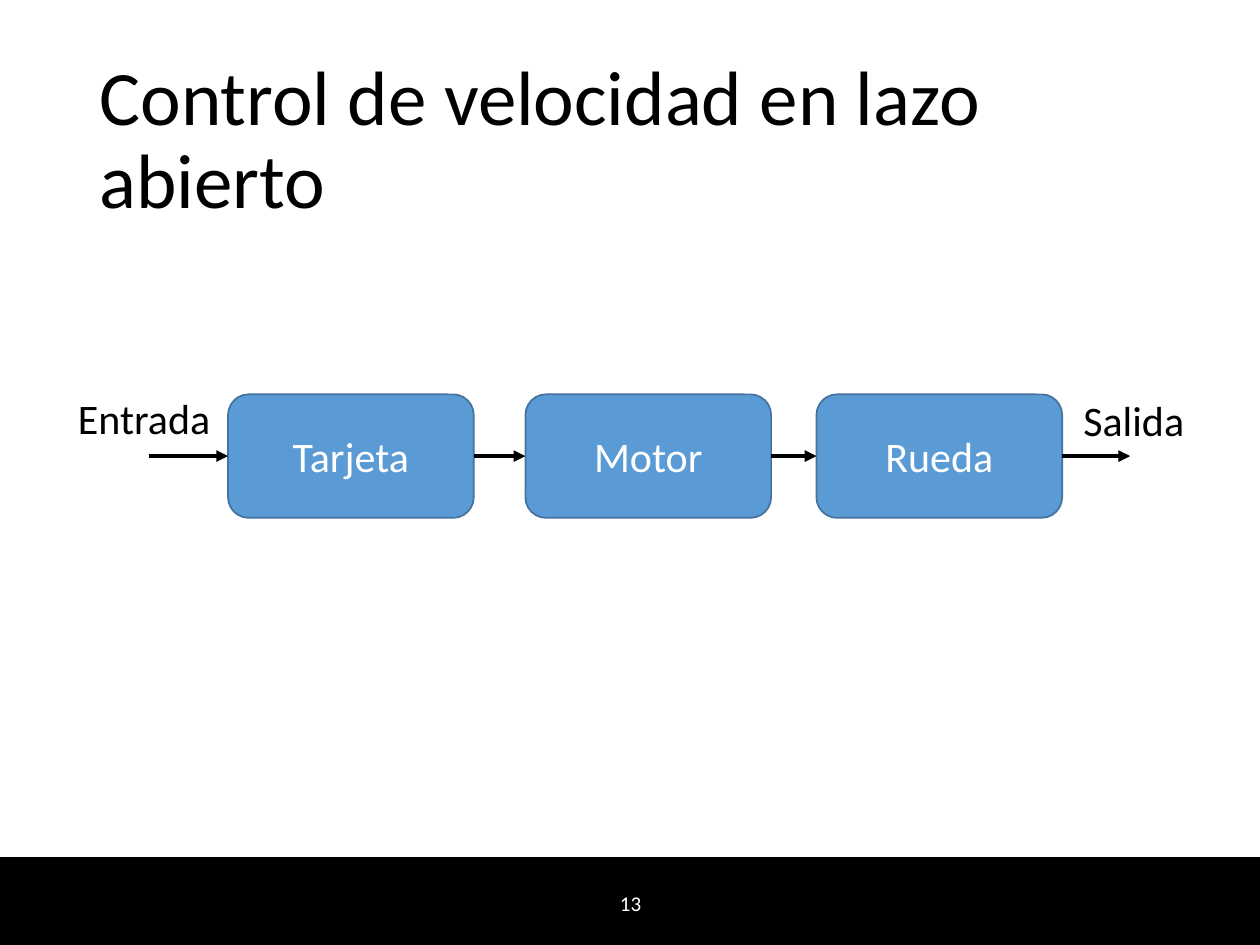
from itertools import pairwise

from lxml.etree import SubElement
from pptx import Presentation
from pptx.dml.color import RGBColor
from pptx.enum.shapes import MSO_CONNECTOR as CONN, MSO_SHAPE as SHAPE
from pptx.enum.text import MSO_ANCHOR as ANCHOR, PP_ALIGN as ALIGN
from pptx.oxml.ns import qn
from pptx.util import Inches, Pt

BLACK = RGBColor(0x00, 0x00, 0x00)
WHITE = RGBColor(0xFF, 0xFF, 0xFF)
BLUE = RGBColor(0x5B, 0x9B, 0xD5)
DARK_BLUE = RGBColor(0x43, 0x73, 0x9E)

BLOCK_TOP, BLOCK_W, BLOCK_H = 3.13, 1.95, 0.98
BLOCKS = [("Tarjeta", 1.81), ("Motor", 4.17), ("Rueda", 6.48)]
INPUT_X, OUTPUT_X = 1.18, 8.97


class DiagramSlide:
    font = "Calibri"

    def __init__(self, prs):
        self.s = prs.slides.add_slide(prs.slide_layouts[5])

    def set_text(self, shape, text, size, color, align=ALIGN.LEFT, anchor=ANCHOR.MIDDLE, spacing=1.0):
        tf = shape.text_frame
        tf.word_wrap = True
        tf.vertical_anchor = anchor
        p = tf.paragraphs[0]
        p.alignment = align
        p.line_spacing = spacing
        r = p.add_run()
        r.text = text
        for name, value in {"name": self.font, "size": Pt(size)}.items():
            setattr(r.font, name, value)
        r.font.color.rgb = color

    def title(self, text, x, y, w, h):
        sp = self.s.shapes.title
        box = {"left": x, "top": y, "width": w, "height": h}
        for name, value in box.items():
            setattr(sp, name, Inches(value))
        self.set_text(sp, text, 44, BLACK, spacing=0.9)

    def shape(self, kind, x, y, w, h, fill, line):
        sp = self.s.shapes.add_shape(kind, Inches(x), Inches(y), Inches(w), Inches(h))
        sp.shadow.inherit = False
        sp.fill.solid()
        sp.fill.fore_color.rgb = fill
        sp.line.color.rgb = line
        sp.line.width = Pt(1)
        return sp

    def block(self, text, x):
        sp = self.shape(SHAPE.ROUNDED_RECTANGLE, x, BLOCK_TOP, BLOCK_W, BLOCK_H, BLUE, DARK_BLUE)
        self.set_text(sp, text, 24, WHITE, ALIGN.CENTER)

    def text(self, text, x, y, w, h, size, color, **layout):
        sp = self.s.shapes.add_textbox(Inches(x), Inches(y), Inches(w), Inches(h))
        self.set_text(sp, text, size, color, **layout)

    def arrow(self, x1, x2, y):
        c = self.s.shapes.add_connector(CONN.STRAIGHT, Inches(x1), Inches(y), Inches(x2), Inches(y))
        c.line.color.rgb = BLACK
        c.line.width = Pt(2.25)
        sp_pr = c._element.spPr
        SubElement(sp_pr.find(qn("a:ln")), qn("a:tailEnd"), type="triangle")
        SubElement(sp_pr, qn("a:effectLst"))


def main():
    prs = Presentation()
    prs.slide_width, prs.slide_height = Inches(10), Inches(7.5)
    slide = DiagramSlide(prs)

    slide.shape(SHAPE.RECTANGLE, 0, 6.81, 10, 0.69, BLACK, BLACK)
    slide.title("Control de velocidad en lazo abierto", 0.69, 0.4, 8.62, 1.45)
    slide.text("13", 3.88, 6.97, 2.25, 0.4, 12, WHITE, align=ALIGN.CENTER)

    for name, x in BLOCKS:
        slide.block(name, x)

    edges = [(INPUT_X, INPUT_X), *((x, x + BLOCK_W) for _, x in BLOCKS), (OUTPUT_X, OUTPUT_X)]
    for (_, start), (end, _) in pairwise(edges):
        slide.arrow(start, end, BLOCK_TOP + BLOCK_H / 2)

    for name, x, y in [("Entrada", 0.52, 3.07), ("Salida", 8.5, 3.08)]:
        slide.text(name, x, y, 1.5, 0.5, 24, BLACK, anchor=ANCHOR.TOP)

    prs.save("out.pptx")


if __name__ == "__main__":
    main()
